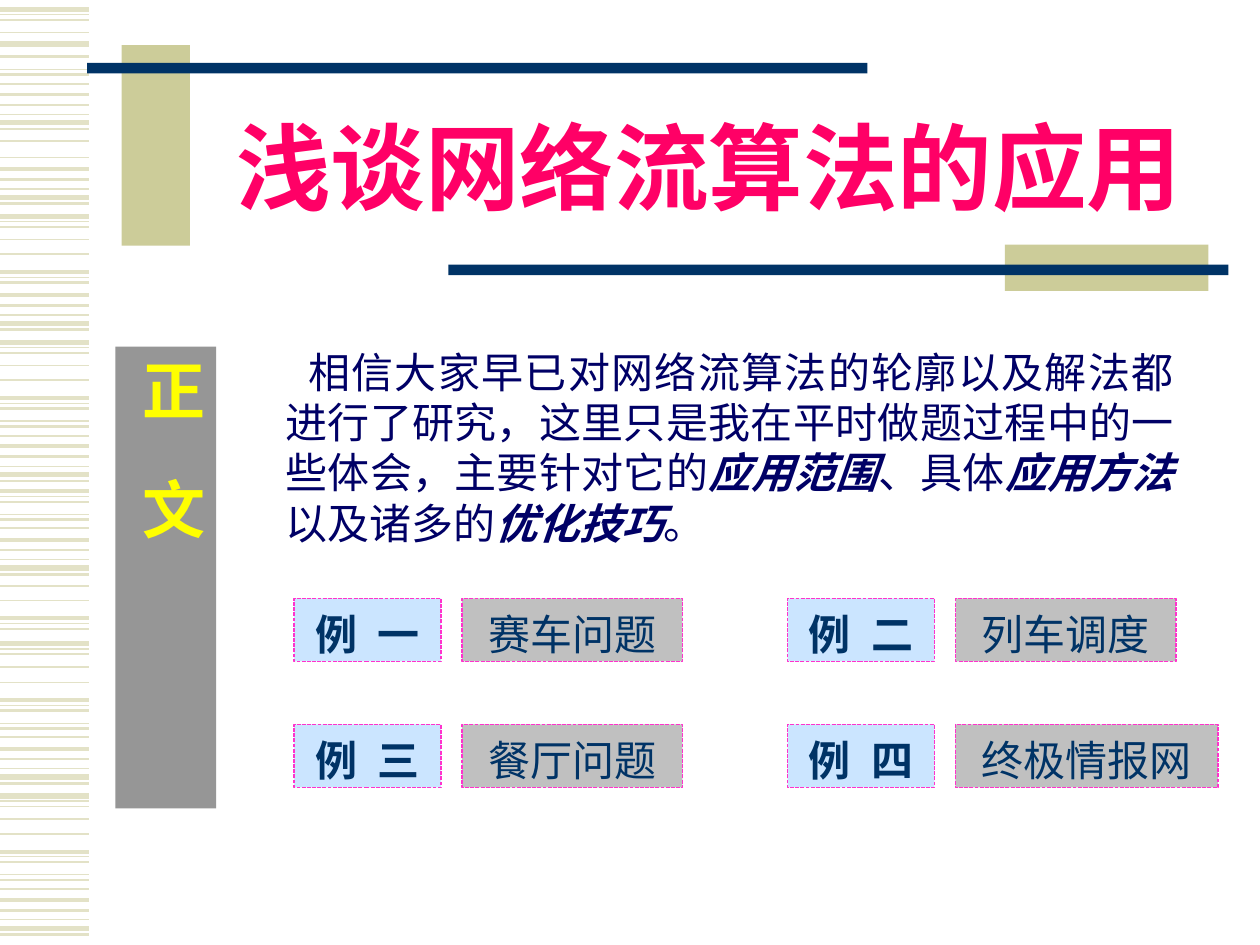
import dataclasses

import pptx
import pptx.dml.color
import pptx.enum.dml
import pptx.enum.shapes
import pptx.enum.text
import pptx.oxml.ns
import pptx.util
from lxml import etree

ALIGN = pptx.enum.text.PP_ALIGN


@dataclasses.dataclass(frozen=True)
class Theme:
    """Colours, fonts and type sizes of the deck."""
    stripe: str = "E3E2C7"
    khaki: str = "CCCC99"
    navy: str = "003366"
    ink: str = "000066"
    title: str = "FF0066"
    sidebar: str = "969696"
    sidebar_text: str = "FFFF00"
    label: str = "99CCFF"
    topic: str = "C0C0C0"
    outline: str = "FF33CC"
    latin: str = "Times New Roman"
    chinese: str = "Noto Sans CJK SC"
    title_size: int = 54
    sidebar_size: int = 36
    body_size: int = 24


class SlideBuilder:
    """Draws themed elements on a grid of 120 columns by 90 rows."""

    def __init__(self, deck, theme):
        self.theme = theme
        self.slide = deck.slides.add_slide(deck.slide_layouts[6])
        self.cell = deck.slide_width / 120

    def grid(self, *cells):
        return [pptx.util.Emu(round(cell * self.cell)) for cell in cells]

    def rgb(self, colour):
        return pptx.dml.color.RGBColor.from_string(colour)

    def stripe(self, row, weight):
        line = self.slide.shapes.add_connector(
            pptx.enum.shapes.MSO_CONNECTOR.STRAIGHT, *self.grid(0, row, 8.5, row))
        line.line.color.rgb = self.rgb(self.theme.stripe)
        line.line.width = pptx.util.Pt(weight)
        etree.SubElement(line._element.spPr, pptx.oxml.ns.qn("a:effectLst"))

    def block(self, area, fill, outline=None, opacity=None):
        block = self.slide.shapes.add_shape(
            pptx.enum.shapes.MSO_SHAPE.RECTANGLE, *self.grid(*area))
        block.shadow.inherit = False
        block.fill.solid()
        block.fill.fore_color.rgb = self.rgb(fill)
        if opacity:
            colour = block._element.spPr.find(".//" + pptx.oxml.ns.qn("a:srgbClr"))
            etree.SubElement(colour, pptx.oxml.ns.qn("a:alpha"), val=str(opacity * 1000))
        if outline:
            block.line.color.rgb = self.rgb(outline)
            block.line.width = pptx.util.Pt(0.75)
            block.line.dash_style = pptx.enum.dml.MSO_LINE.SQUARE_DOT
        else:
            block.line.fill.background()
        return block

    def textbox(self, area):
        return self.slide.shapes.add_textbox(*self.grid(*area))

    def set_text(self, holder, runs, size, colour, align=ALIGN.CENTER, indent=0, vertical=False):
        frame = holder.text_frame
        inset = {"margin_left": 3.6, "margin_right": 3.6, "margin_top": 7.2, "margin_bottom": 7.2}
        if not vertical:
            inset = {"margin_left": 7.2, "margin_right": 7.2,
                     "margin_top": 3.6 + 0.09 * size, "margin_bottom": 0}
        for name, points in inset.items():
            setattr(frame, name, pptx.util.Pt(points))
        frame.word_wrap = True
        frame.vertical_anchor = pptx.enum.text.MSO_ANCHOR.TOP
        if vertical:
            frame._txBody.bodyPr.set("vert", "eaVert")
        paragraph = frame.paragraphs[0]
        paragraph.alignment = align
        paragraph.line_spacing = pptx.util.Pt(1.2 * size)
        if indent:
            paragraph._p.get_or_add_pPr().set("indent", str(pptx.util.Pt(indent)))
        for text, style in runs:
            run = paragraph.add_run()
            run.text = text
            style = dict(style)
            spacing = style.pop("spacing", 0)
            look = {"size": pptx.util.Pt(size), "name": self.theme.latin,
                    "bold": False, "italic": False, **style}
            run.font.color.rgb = self.rgb(colour)
            for name, value in look.items():
                setattr(run.font, name, value)
            properties = run._r.get_or_add_rPr()
            etree.SubElement(properties, pptx.oxml.ns.qn("a:ea"), typeface=self.theme.chinese)
            if spacing:
                properties.set("spc", str(spacing * 100))

    def spaced_pair(self, first, second, spacing):
        return [(first, {"bold": True}), (" ", {"bold": True, "spacing": spacing}),
                (second, {"bold": True})]


STRIPE_MOTIFS = [
    ([(0, 3), (0.5, 0.75), (1, 1), (2.2, 1)], [0.9, 20.6, 32.6, 61.3, 75.8]),
    ([(0, 2.25), (0.5, 0.75), (1, 1.5)], [25.9, 37.9, 46.8, 58.9, 66.7, 81.1]),
    ([(0, 0.75), (0.5, 1.5)], [6.6, 40.1, 49, 68.9, 83.3]),
    ([(0, 2.25), (1, 1.5), (1.9, 0.75), (2.7, 3), (3.3, 1.5)],
     [9, 16.1, 28.1, 42.5, 51.4, 71.3, 85.7]),
    ([(0, 1)], [8, 13.4, 15, 24.2, 36.2, 41.5, 50.3, 55.8, 57.2, 65, 70.2, 79.4, 84.7]),
    ([(0, 3), (1.2, 1.5)], [4.2]),
]

EXAMPLES = [
    ("一", "赛车问题", 28, 57, 21),
    ("二", "列车调度", 75, 57, 21),
    ("三", "餐厅问题", 28, 69, 21),
    ("四", "终极情报网", 75, 69, 25),
]


def main():
    theme = Theme()
    deck = pptx.Presentation()
    deck.slide_width = pptx.util.Inches(10)
    deck.slide_height = pptx.util.Inches(7.5)
    page = SlideBuilder(deck, theme)

    for motif, starts in STRIPE_MOTIFS:
        for start in starts:
            for offset, weight in motif:
                page.stripe(start + offset, weight)

    for area, colour in [
        ((11.6, 4.3, 6.5, 19.1), theme.khaki),
        ((8.3, 6, 74.3, 1), theme.navy),
        ((95.7, 23.3, 19.4, 4.4), theme.khaki),
        ((42.7, 25.2, 74.3, 1), theme.navy),
    ]:
        page.block(area, colour)

    sidebar = page.block((11, 33, 9.6, 44), theme.sidebar)
    page.set_text(sidebar, page.spaced_pair("正", "文", 24), theme.sidebar_size,
                  theme.sidebar_text, vertical=True)

    title = page.textbox((21, 9, 93, 12))
    page.set_text(title, [("浅谈网络流算法的应用", {"bold": True})],
                  theme.title_size, theme.title)

    emphasis = {"bold": True, "italic": True}
    introduction = page.textbox((26, 32, 87, 20.4))
    page.set_text(introduction, [
        ("相信大家早已对网络流算法的轮廓以及解法都进行了研究，这里只是我在平时做题过程中的一些体会，主要针对它的", {}),
        ("应用范围", emphasis),
        ("、具体", {}),
        ("应用方法", emphasis),
        ("以及诸多的", {}),
        ("优化技巧", emphasis),
        ("。", {}),
    ], theme.body_size, theme.ink, align=ALIGN.JUSTIFY, indent=13)

    for number, topic, column, row, width in EXAMPLES:
        label = page.block((column, row, 14, 6), theme.label, theme.outline, opacity=50)
        page.set_text(label, page.spaced_pair("例", number, 6), theme.body_size, theme.navy)
        problem = page.block((column + 16, row, width, 6), theme.topic, theme.outline)
        page.set_text(problem, [(topic, {})], theme.body_size, theme.navy)

    deck.save("out.pptx")


if __name__ == "__main__":
    main()
